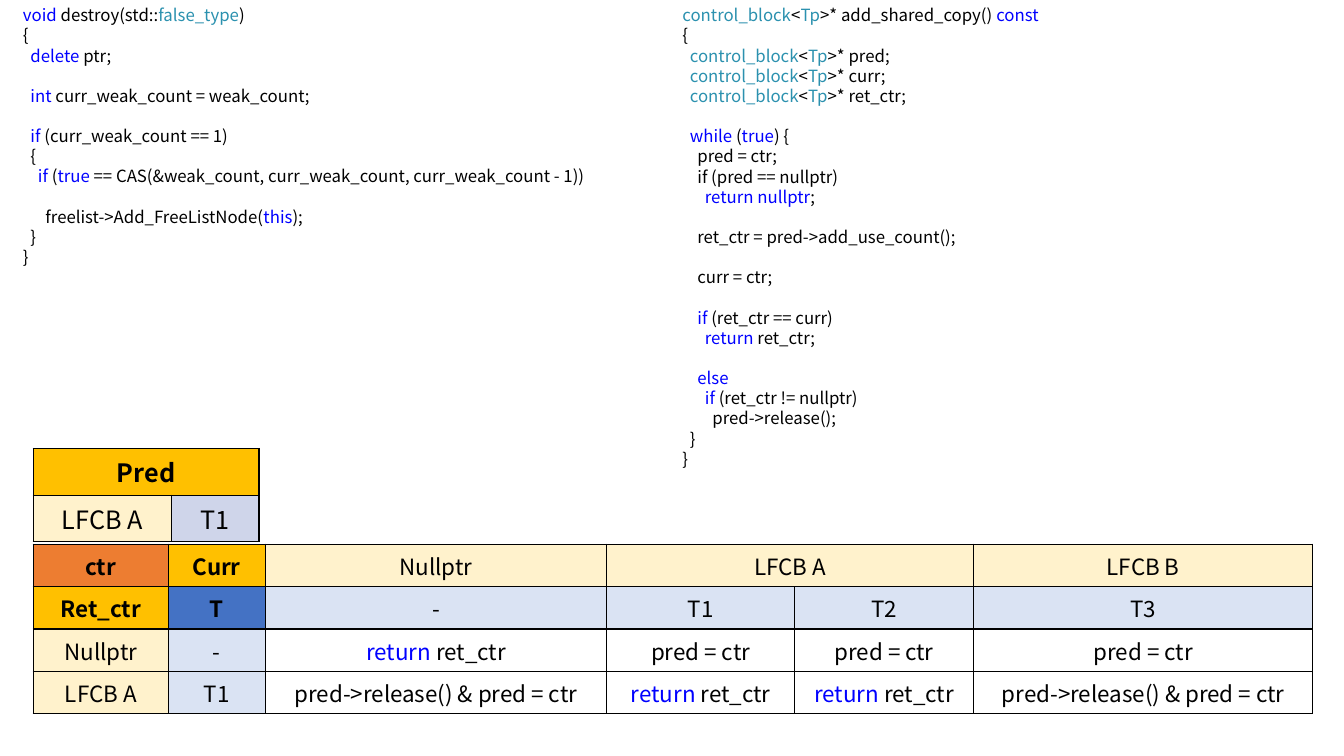
from lxml import etree
from pptx import Presentation
from pptx.dml.color import RGBColor
from pptx.enum.text import MSO_ANCHOR, MSO_AUTO_SIZE, PP_ALIGN
from pptx.oxml.ns import qn
from pptx.util import Inches, Pt

CENTER = PP_ALIGN.CENTER
MIDDLE = MSO_ANCHOR.MIDDLE
GROW = MSO_AUTO_SIZE.SHAPE_TO_FIT_TEXT

FONT = "Noto Sans CJK KR"
BLACK = RGBColor(0x00, 0x00, 0x00)
BLUE = RGBColor(0x00, 0x00, 0xFF)
TEAL = RGBColor(0x2B, 0x91, 0xAF)
ORANGE = RGBColor(0xED, 0x7D, 0x31)
GOLD = RGBColor(0xFF, 0xC0, 0x00)
CREAM = RGBColor(0xFF, 0xF2, 0xCC)
ROYAL = RGBColor(0x44, 0x72, 0xC4)
PALE_BLUE = RGBColor(0xDA, 0xE3, 0xF3)
LAVENDER = RGBColor(0xCF, 0xD5, 0xEA)

KEYWORDS = {"void", "delete", "int", "if", "true", "this", "const", "while",
            "return", "return nullptr", "else"}
TYPES = {"control_block", "Tp", "false_type"}
CODE_LINE = Pt(14.4)

DESTROY = """\
void| destroy(std::|false_type|)
{
  delete| ptr;

  int| curr_weak_count = weak_count;

  if| (curr_weak_count == 1)
  {
    if| (|true| == CAS(&weak_count, curr_weak_count, curr_weak_count - 1))

      freelist->Add_FreeListNode(|this|);
  }
}"""

ADD_SHARED_COPY = """\
control_block|<|Tp|>* add_shared_copy() |const
{
  control_block|<|Tp|>* pred;
  control_block|<|Tp|>* curr;
  control_block|<|Tp|>* ret_ctr;

  while| (|true|) {
    pred = ctr;
    if (pred == nullptr)
      return nullptr|;

    ret_ctr = pred->add_use_count();

    curr = ctr;

    if| (ret_ctr == curr)
      return| ret_ctr;

    else
      if| (ret_ctr != nullptr)
        pred->release();
  }
}"""

RETURN = "return| ret_ctr"
ASSIGN = "pred = ctr"
RELEASE = "pred->release() & pred = ctr"

CTR_ROWS = [
    ["ctr", "Curr", "Nullptr", "LFCB A", "", "LFCB B"],
    ["Ret_ctr", "T", "-", "T1", "T2", "T3"],
    ["Nullptr", "-", RETURN, ASSIGN, ASSIGN, ASSIGN],
    ["LFCB A", "T1", RELEASE, RETURN, RETURN, RELEASE],
]
CTR_FILLS = [
    [ORANGE, GOLD] + [CREAM] * 4,
    [GOLD, ROYAL] + [PALE_BLUE] * 4,
    [CREAM, PALE_BLUE] + [None] * 4,
    [CREAM, PALE_BLUE] + [None] * 4,
]
PRED_ROWS = [["Pred", ""], ["LFCB A", "T1"]]
PRED_FILLS = [[GOLD, GOLD], [CREAM, LAVENDER]]


def write_line(paragraph, line, size, bold=False):
    for piece in line.split("|"):
        run = paragraph.add_run()
        run.text = piece
        run.font.name = FONT
        run.font.size = Pt(size)
        run.font.bold = bold
        token = piece.strip()
        run.font.color.rgb = (BLUE if token in KEYWORDS
                              else TEAL if token in TYPES else BLACK)


def add_border(cell):
    properties = cell._tc.get_or_add_tcPr()
    for side in ("a:lnL", "a:lnR", "a:lnT", "a:lnB"):
        edge = etree.SubElement(properties, qn(side), w=str(Pt(1)))
        paint = etree.SubElement(edge, qn("a:solidFill"))
        etree.SubElement(paint, qn("a:srgbClr"), val=str(BLACK))


presentation = Presentation()
presentation.slide_width = Inches(13.33)
presentation.slide_height = Inches(7.5)
slide = presentation.slides.add_slide(presentation.slide_layouts[6])

for rows, fills, top, widths, row_height, size, header_start in [
    (CTR_ROWS, CTR_FILLS, 5.4, [1.34, 0.96, 3.39, 1.86, 1.78, 3.36], 0.42, 16, 3),
    (PRED_ROWS, PRED_FILLS, 4.45, [1.37, 0.87], 0.46, 18, 0),
]:
    grid = slide.shapes.add_table(
        len(rows), len(widths), Inches(0.33), Inches(top),
        Inches(sum(widths)), Inches(row_height * len(rows))).table
    for column, width in zip(grid.columns, widths):
        column.width = Inches(width)
    for r, (texts, colors) in enumerate(zip(rows, fills)):
        grid.rows[r].height = Inches(row_height)
        for c, (text, color) in enumerate(zip(texts, colors)):
            cell = grid.cell(r, c)
            cell.vertical_anchor = MIDDLE
            add_border(cell)
            if color is None:
                cell.fill.background()
            else:
                cell.fill.solid()
                cell.fill.fore_color.rgb = color
            if text:
                label = cell.text_frame.paragraphs[0]
                label.alignment = CENTER
                write_line(label, text, size, color in (ORANGE, GOLD, ROYAL))
    grid.cell(0, header_start).merge(grid.cell(0, header_start + 1))

for code, left, height in [(ADD_SHARED_COPY, 6.67, 4.75), (DESTROY, 0.13, 2.73)]:
    listing = slide.shapes.add_textbox(
        Inches(left), Inches(0), Inches(6.67), Inches(height)).text_frame
    listing.word_wrap = True
    listing.auto_size = GROW
    paragraph = listing.paragraphs[0]
    after_gap = False
    for number, line in enumerate(code.split("\n")):
        if not line:
            after_gap = True
            continue
        if number:
            paragraph = listing.add_paragraph()
        paragraph.line_spacing = CODE_LINE
        if after_gap:
            paragraph.space_before = CODE_LINE
        after_gap = False
        write_line(paragraph, line, 12)

presentation.save("out.pptx")
